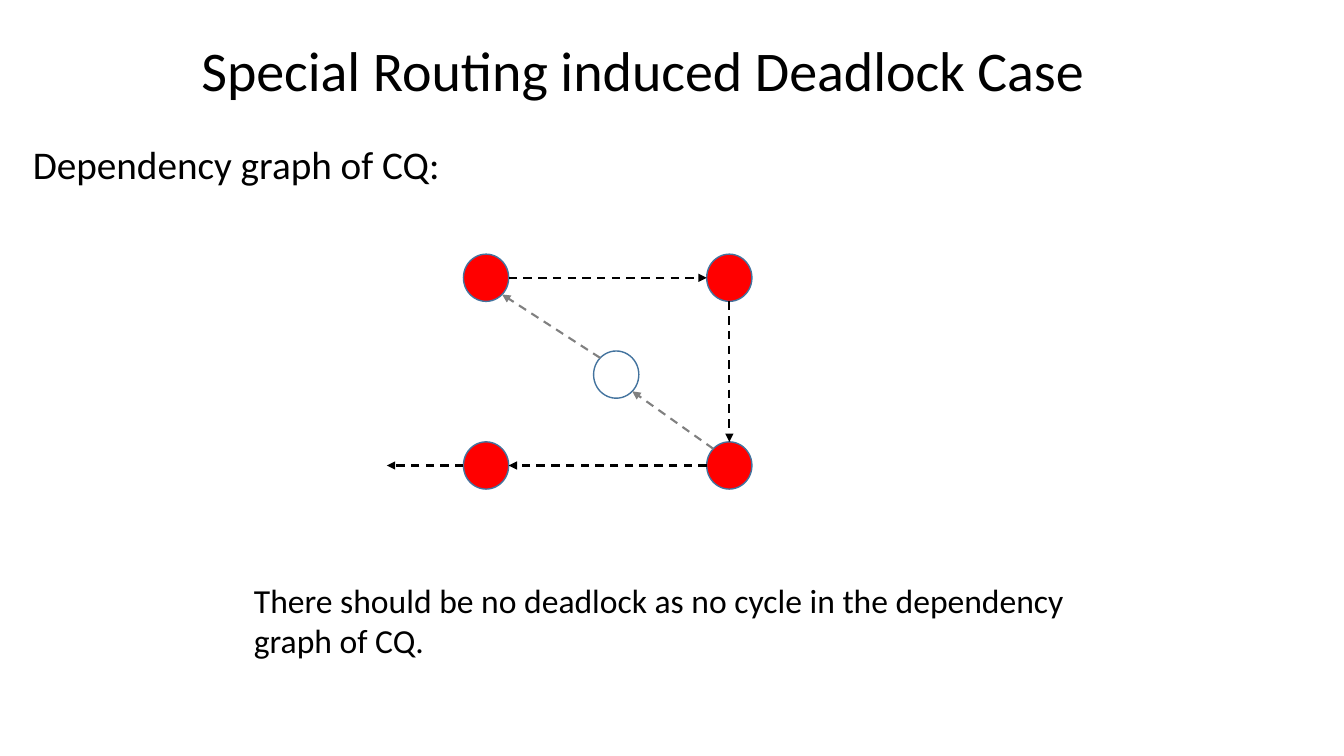
from math import sqrt

from lxml import etree
from pptx import Presentation
from pptx.dml.color import RGBColor
from pptx.enum import dml, shapes, text
from pptx.oxml.ns import qn
from pptx.util import Cm, Pt

BLACK = RGBColor(0x00, 0x00, 0x00)
GRAY = RGBColor(0x80, 0x80, 0x80)
RED = RGBColor(0xFF, 0x00, 0x00)
BLUE = RGBColor(0x43, 0x73, 0x9E)
WIDE, HIGH = 1.14, 1.19
DIAG = 1 / sqrt(2)


def label(slide, words, box, size, align=text.PP_ALIGN.LEFT):
    """Add a wrapped text box with one paragraph."""
    frame = slide.shapes.add_textbox(*map(Cm, box)).text_frame
    frame.word_wrap = True
    frame.auto_size = text.MSO_AUTO_SIZE.SHAPE_TO_FIT_TEXT
    para = frame.paragraphs[0]
    para.text = words
    para.alignment = align
    para.font.name = "Calibri"
    para.font.size = Pt(size)
    para.font.color.rgb = BLACK


def node(slide, center, fill=None):
    """Add a graph node around its center, hollow without a fill."""
    x, y = center
    dot = slide.shapes.add_shape(
        shapes.MSO_SHAPE.OVAL, Cm(x - WIDE / 2), Cm(y - HIGH / 2), Cm(WIDE), Cm(HIGH))
    dot.shadow.inherit = False
    dot.line.color.rgb = BLUE
    dot.line.width = Pt(1)
    if fill is None:
        dot.fill.background()
    else:
        dot.fill.solid()
        dot.fill.fore_color.rgb = fill


def rim(center, dx, dy):
    """Return the point on a node's edge in the given direction."""
    return center[0] + dx * WIDE / 2, center[1] + dy * HIGH / 2


def arrow(slide, start, end, color=BLACK):
    """Add a dashed arrow from start to end."""
    link = slide.shapes.add_connector(
        shapes.MSO_CONNECTOR.STRAIGHT, *map(Cm, (*start, *end)))
    link.line.color.rgb = color
    link.line.width = Pt(1.5)
    link.line.dash_style = dml.MSO_LINE.DASH
    etree.SubElement(link.line._get_or_add_ln(), qn("a:tailEnd"), type="triangle")
    etree.SubElement(link._element.spPr, qn("a:effectLst"))


def graph(slide):
    """Draw the dependency graph."""
    left, right, top, low = 12.25, 18.38, 7.0, 11.73
    nw, ne, sw, se = [(x, y) for y in (top, low) for x in (left, right)]
    mid = (15.53, 9.44)
    for spot in (nw, ne, sw, se):
        node(slide, spot, RED)
    node(slide, mid)
    arrow(slide, rim(nw, 1, 0), rim(ne, -1, 0))
    arrow(slide, rim(ne, 0, 1), rim(se, 0, -1))
    arrow(slide, rim(se, -1, 0), rim(sw, 1, 0))
    arrow(slide, rim(sw, -1, 0), (9.75, low))
    for tail, head in ((se, mid), (mid, nw)):
        arrow(slide, rim(tail, -DIAG, -DIAG), rim(head, DIAG, DIAG), GRAY)


def main():
    """Build and save the slide."""
    deck = Presentation()
    deck.slide_width, deck.slide_height = Cm(33.87), Cm(19.05)
    slide = deck.slides.add_slide(deck.slide_layouts[6])
    label(slide, "Special Routing induced Deadlock Case ",
          (1.6, 0.76, 29.51, 1.96), 40, text.PP_ALIGN.CENTER)
    label(slide, "Dependency graph of CQ:", (0.58, 3.4, 11.1, 1.45), 28)
    label(slide, "There should be no deadlock as no cycle in the dependency graph of CQ.",
          (6.15, 14.48, 21.18, 2.31), 24)
    graph(slide)
    deck.save("out.pptx")


if __name__ == "__main__":
    main()
